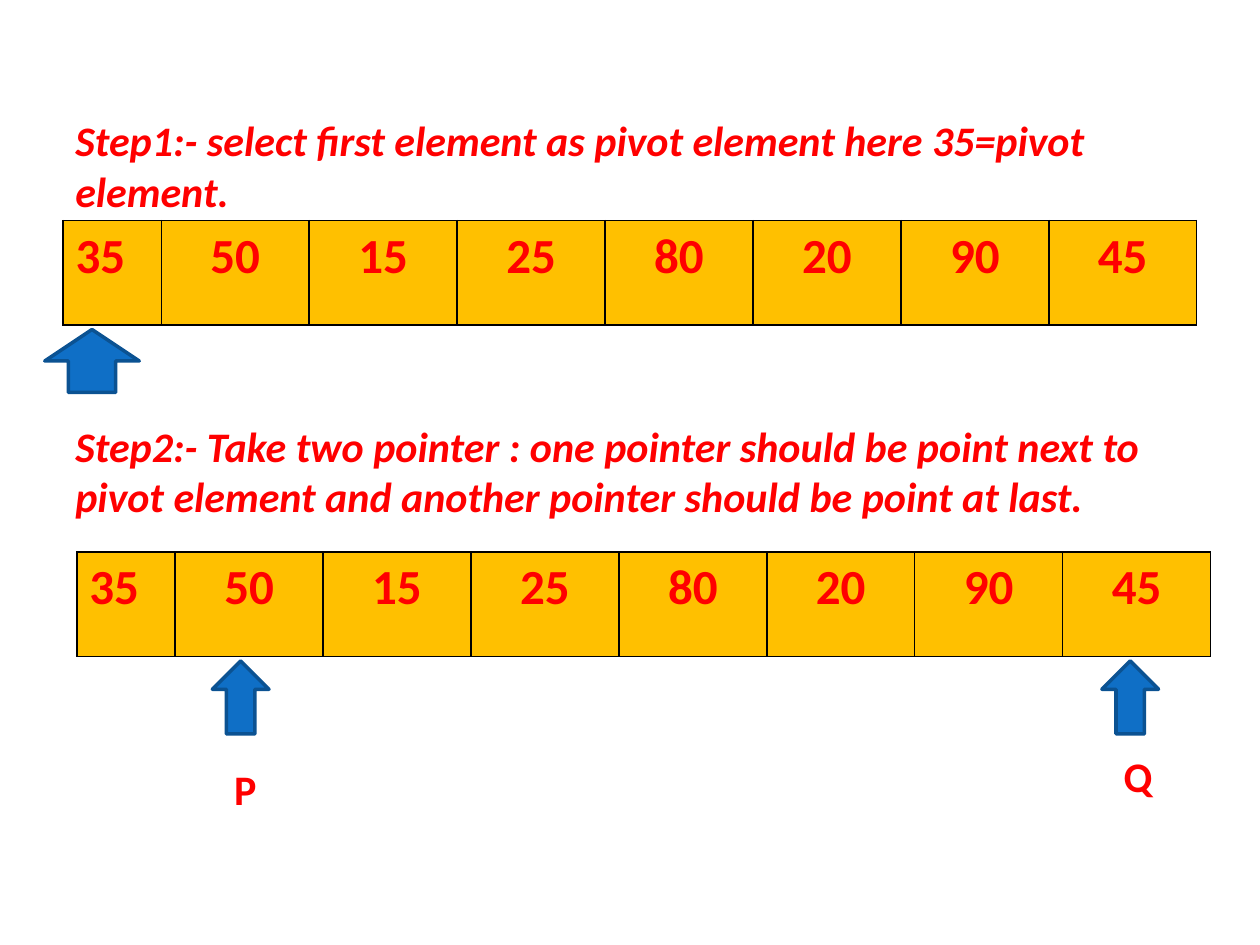
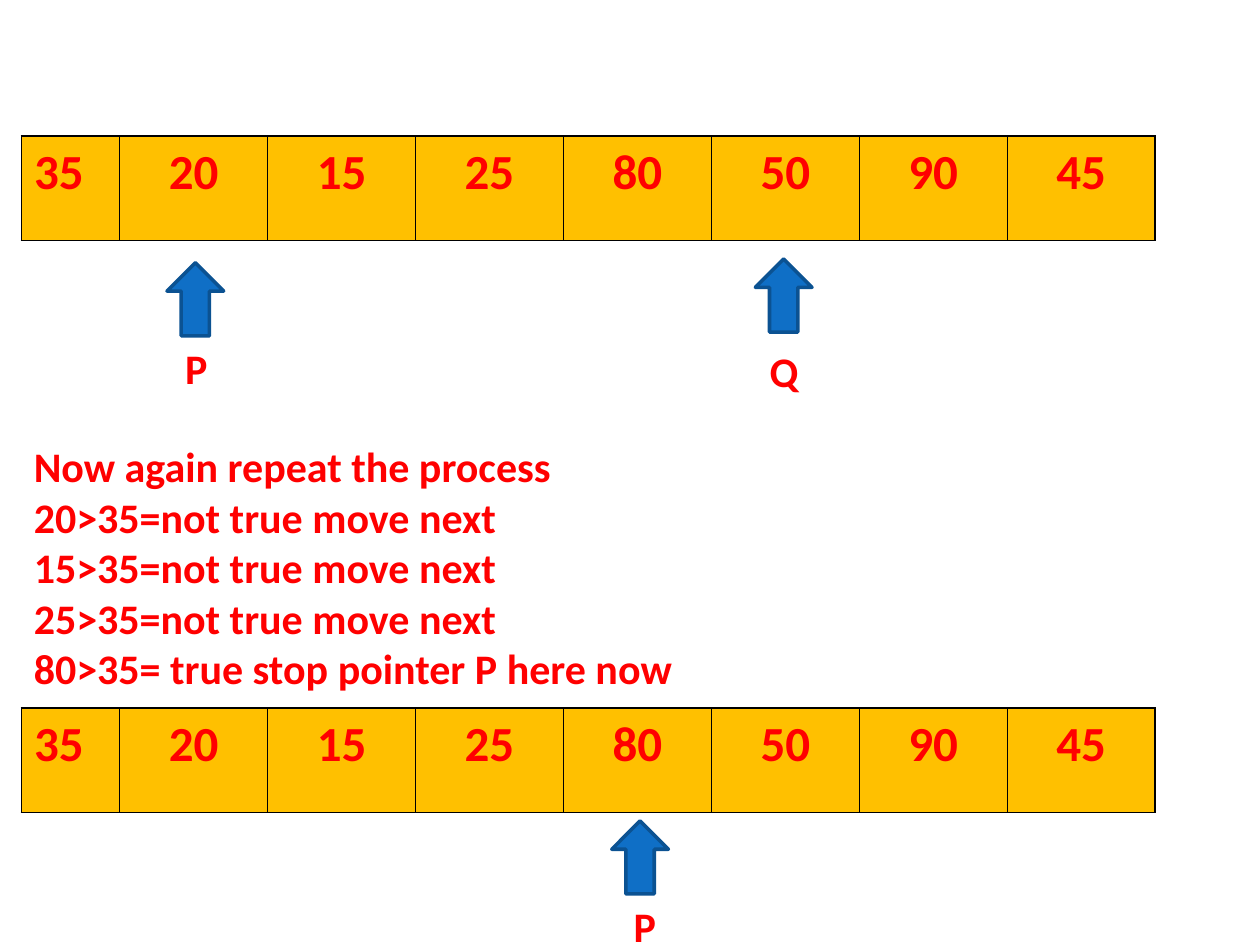
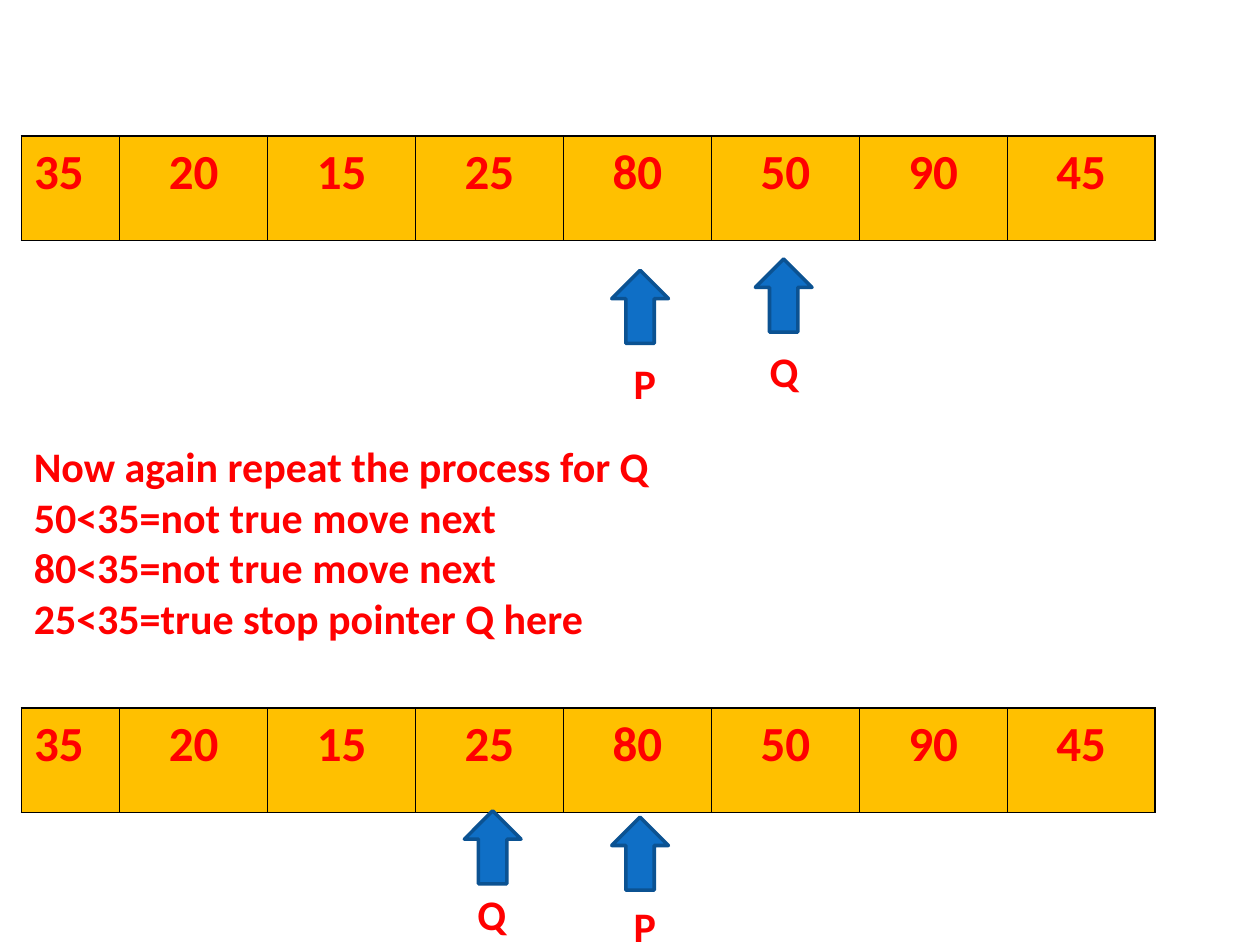
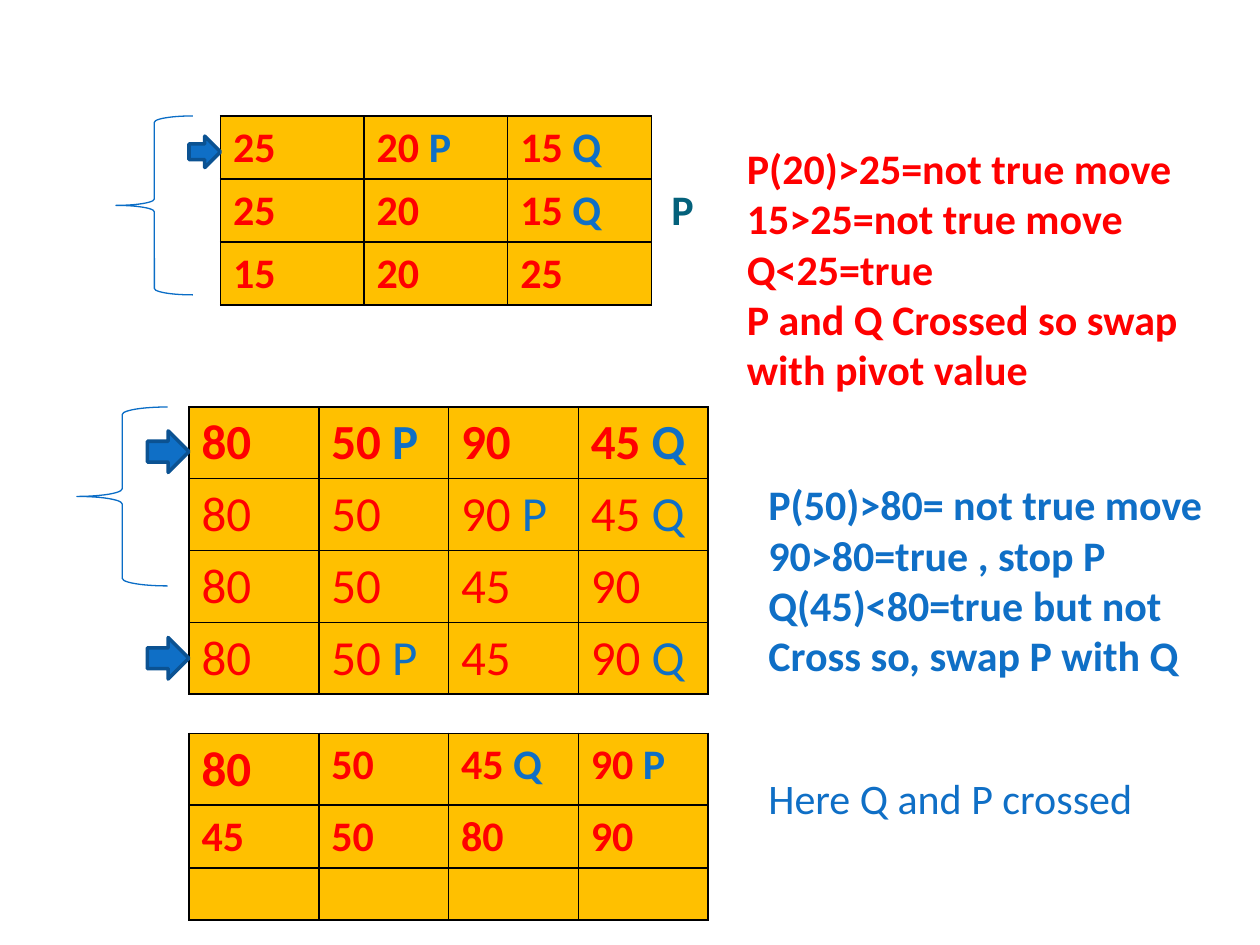
from dataclasses import dataclass

from lxml import etree
from pptx import Presentation
from pptx import util as u
from pptx.dml.color import RGBColor
from pptx.enum import shapes, text
from pptx.oxml import ns


@dataclass(frozen=True)
class Theme:
    font: str = "Calibri"
    red: str = "FF0000"
    blue: str = "0F6FC6"
    teal: str = "04617B"
    amber: str = "FFC000"
    outline: str = "0B5292"
    brace: str = "0A6DC6"
    border: str = "000000"
    body: int = 24
    number: int = 28


theme = Theme()


def add_span(para, words, color, size=theme.body, bold=True, italic=False):
    span = para.add_run()
    span.text = words
    span.font.name = theme.font
    span.font.size = u.Pt(size)
    span.font.bold = bold
    span.font.italic = italic
    span.font.color.rgb = RGBColor.from_string(color)


def add_grid(page, left, top, widths, rows, centred=False):
    height = sum(row[0] for row in rows)
    frame = page.shapes.add_table(len(rows), len(widths), u.Inches(left), u.Inches(top),
                                  u.Inches(sum(widths)), u.Inches(height))
    table = frame.table
    table.first_row = False
    table.horz_banding = False
    for column, width in zip(table.columns, widths):
        column.width = u.Inches(width)
    for r, (row_height, lead_size, size, bold, cells) in enumerate(rows):
        table.rows[r].height = u.Inches(row_height)
        for c, content in enumerate(cells.split("|")):
            cell = table.cell(r, c)
            para = cell.text_frame.paragraphs[0]
            if centred and c:
                para.alignment = text.PP_ALIGN.CENTER
            number, gap, pointer = content.partition(" ")
            cell_size = size if c else lead_size
            if number:
                add_span(para, number + gap, theme.red, cell_size, bold)
            if pointer:
                add_span(para, pointer, theme.blue, cell_size, bold)
            properties = cell._tc.get_or_add_tcPr()
            for side in ("a:lnL", "a:lnR", "a:lnT", "a:lnB"):
                line = etree.SubElement(properties, ns.qn(side), w=str(u.Pt(1)))
                fill = etree.SubElement(line, ns.qn("a:solidFill"))
                etree.SubElement(fill, ns.qn("a:srgbClr"), val=theme.border)
            cell.fill.solid()
            cell.fill.fore_color.rgb = RGBColor.from_string(theme.amber)


deck = Presentation()
deck.slide_width = u.Inches(10)
deck.slide_height = u.Inches(7.5)

start = "35|50|15|25|80|20|90|45"
swapped = "35|20|15|25|80|50|90|45"
array_widths = [0.78] + [(9 - 0.78) / 7] * 7
label_widths = {"P": 0.38, "Q": 0.43}

scenes = [
    {
        "arrays": [(0.5, 1.75, start), (0.61, 4.38, start)],
        "arrows": [(0.48, 2.49, 0.5, 0.75), (1.62, 5.31, 0.58, 0.45), (8.68, 5.31, 0.58, 0.45)],
        "labels": [("P", 1.76, 6.01), ("Q", 8.82, 5.91)],
    },
    {
        "arrays": [(0.17, 1.08, swapped), (0.17, 5.62, swapped)],
        "arrows": [(1.26, 2.15, 0.58, 0.45), (5.93, 2.12, 0.58, 0.45), (4.79, 6.58, 0.58, 0.45)],
        "labels": [("P", 1.37, 2.67), ("Q", 6.01, 2.69), ("P", 4.93, 7.1)],
        "notes": [(0.17, 3.45, 9.83, 2.12, theme.red, True, [
            "Now again repeat the process",
            "20>35=not true move next",
            "15>35=not true move next",
            "25>35=not true move next",
            "80>35= true stop pointer P here now",
        ])],
    },
    {
        "arrays": [(0.17, 1.08, swapped), (0.17, 5.62, swapped)],
        "arrows": [(4.79, 2.21, 0.58, 0.45), (5.93, 2.12, 0.58, 0.45),
                   (4.79, 6.55, 0.58, 0.45), (3.62, 6.5, 0.58, 0.45)],
        "labels": [("P", 4.93, 2.79), ("Q", 6.01, 2.69), ("P", 4.93, 7.1), ("Q", 3.69, 7)],
        "notes": [(0.17, 3.45, 9.83, 1.72, theme.red, True, [
            "Now again repeat the process for Q",
            "50<35=not true move next",
            "80<35=not true move next",
            "25<35=true stop pointer Q here",
        ])],
    },
    {
        "grids": [
            (1.75, 0.92, [1.14] * 3, [
                (0.5, theme.body, theme.body, True, "25|20 P|15 Q"),
                (0.5, theme.body, theme.body, True, "25|20|15 Q"),
                (0.5, theme.body, theme.body, True, "15|20|25"),
            ]),
            (1.5, 3.23, [1.03] * 4, [
                (0.57, theme.number, theme.number, True, "80|50 P|90|45 Q"),
                (0.57, theme.number, theme.number, False, "80|50|90 P|45 Q"),
                (0.57, theme.number, theme.number, False, "80|50|45|90"),
                (0.57, theme.number, theme.number, False, "80|50 P|45|90 Q"),
            ]),
            (1.5, 5.82, [1.03] * 4, [
                (0.57, theme.number, theme.body, True, "80|50|45 Q|90 P"),
                (0.5, theme.body, theme.body, True, "45|50|80|90"),
                (0.41, theme.body, theme.body, True, "|||"),
            ]),
        ],
        "arrows": [(1.5, 1.08, 0.25, 0.25), (1.17, 3.42, 0.33, 0.33), (1.17, 5.06, 0.33, 0.33)],
        "turn": 0,
        "braces": [(0.92, 0.92, 0.61, 1.42), (0.61, 3.23, 0.72, 1.42)],
        "notes": [
            (5.83, 1.08, 3.73, 2.12, theme.red, True, [
                "P(20)>25=not true move",
                "15>25=not true move",
                "Q<25=true",
                "P and Q Crossed so swap",
                "with pivot value",
            ]),
            (5.23, 1.41, 0.38, 0.5, theme.teal, True, ["P"]),
            (6, 3.75, 3.68, 2.12, theme.blue, True, [
                "P(50)>80= not true move",
                "90>80=true , stop P",
                "Q(45)<80=true but not",
                "Cross so, swap P with Q",
            ]),
            (6, 6.08, 3.12, 0.5, theme.blue, False, ["Here Q and P crossed"]),
        ],
    },
]

for scene in scenes:
    page = deck.slides.add_slide(deck.slide_layouts[6])

    for left, top, numbers in scene.get("arrays", []):
        row = (0.83, theme.number, theme.number, True, numbers)
        add_grid(page, left, top, array_widths, [row], centred=True)
    for left, top, widths, rows in scene.get("grids", []):
        add_grid(page, left, top, widths, rows)

    for place in scene["arrows"]:
        arrow = page.shapes.add_shape(shapes.MSO_SHAPE.RIGHT_ARROW, *map(u.Inches, place))
        arrow.rotation = scene.get("turn", 270)
        arrow.shadow.inherit = False
        arrow.fill.solid()
        arrow.fill.fore_color.rgb = RGBColor.from_string(theme.blue)
        arrow.line.color.rgb = RGBColor.from_string(theme.outline)
        arrow.line.width = u.Pt(2)

    for place in scene.get("braces", []):
        brace = page.shapes.add_shape(shapes.MSO_SHAPE.LEFT_BRACE, *map(u.Inches, place))
        brace.shadow.inherit = False
        brace.fill.background()
        brace.line.color.rgb = RGBColor.from_string(theme.brace)
        brace.line.width = u.Pt(0.75)

    labels = [(left, top, label_widths[name], 0.5, theme.red, True, [name])
              for name, left, top in scene.get("labels", [])]
    for *place, color, bold, lines in scene.get("notes", []) + labels:
        box = page.shapes.add_textbox(*map(u.Inches, place))
        box.text_frame.word_wrap = True
        for i, words in enumerate(lines):
            para = box.text_frame.add_paragraph() if i else box.text_frame.paragraphs[0]
            add_span(para, words, color, bold=bold)

steps = deck.slides[0].shapes.add_textbox(u.Inches(0.5), u.Inches(0.45), u.Inches(9.23), u.Inches(6.56))
steps.text_frame.word_wrap = True
steps.text_frame.margin_top = u.Inches(0.46)
first = steps.text_frame.paragraphs[0]
add_span(first, "Step1:- select first element as pivot element here 35=pivot element.",
         theme.red, italic=True)
second = steps.text_frame.add_paragraph()
second.space_before = u.Pt(117)
add_span(second, "Step2:- Take two pointer : one pointer should be point next to pivot element "
         "and another pointer should be point at last.", theme.red, italic=True)

deck.save("out.pptx")
